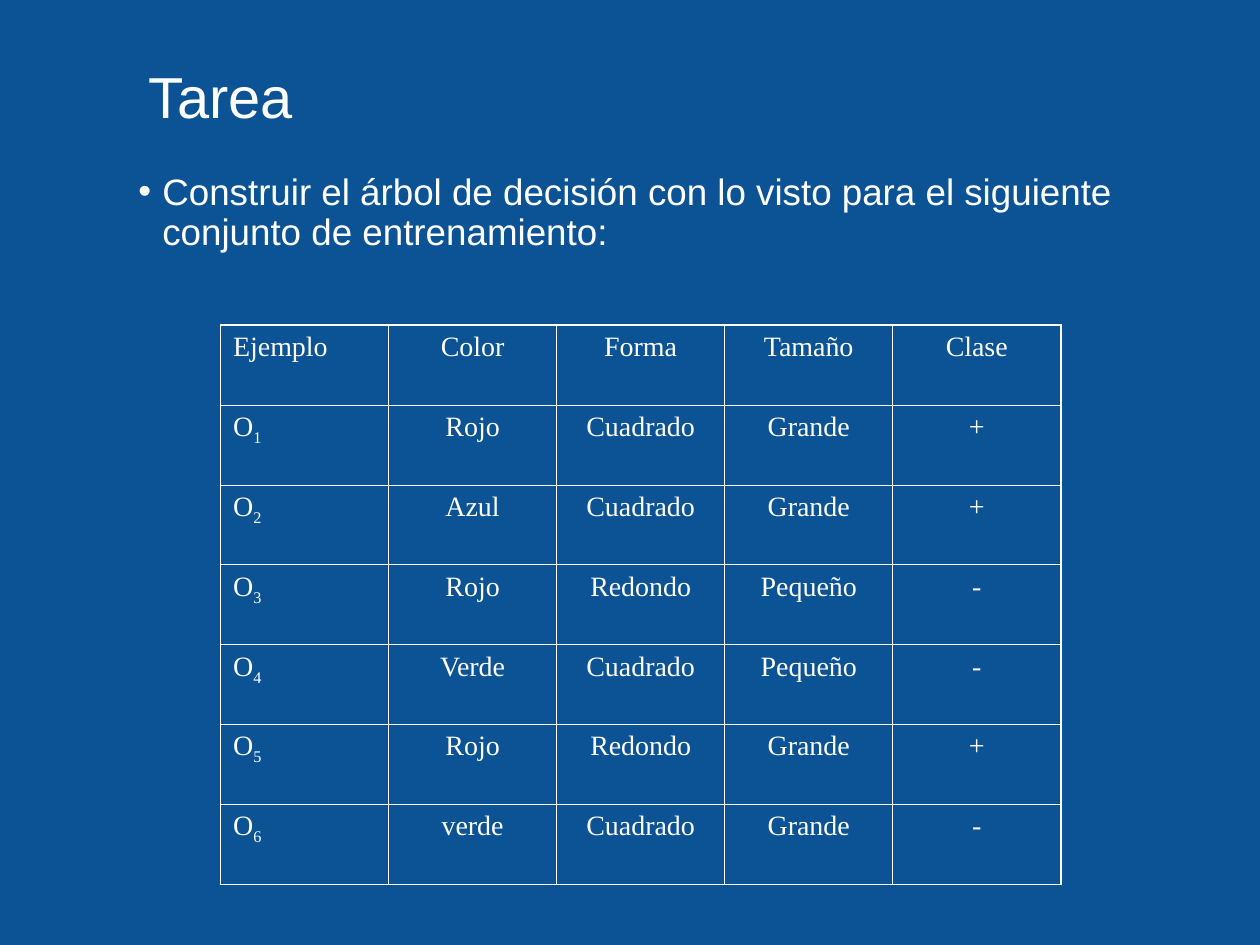
from dataclasses import dataclass

from lxml.etree import SubElement
from pptx import Presentation
from pptx.dml.color import RGBColor as RGB
from pptx.enum.text import MSO_ANCHOR as Anchor, MSO_AUTO_SIZE as AutoSize, PP_ALIGN as Align
from pptx.oxml.ns import qn
from pptx.util import Inches, Pt


@dataclass(frozen=True)
class Theme:
    back: str = "0B5395"
    ink: str = "FFFFFF"
    sans: str = "Arial"
    serif: str = "Times New Roman"
    title_size: int = 33
    body_size: int = 21
    cell_size: int = 16
    leading: float = 0.9
    outer_line: float = 1.08
    inner_line: float = 0.45


class Deck:
    """Builds slides in one theme and keeps the current slide."""

    def __init__(self, theme):
        self.theme = theme
        self.prs = Presentation()
        self.prs.slide_width, self.prs.slide_height = Inches(10), Inches(7.5)

    def add_slide(self):
        self.s = self.prs.slides.add_slide(self.prs.slide_layouts[5])
        fill = self.s.background.fill
        fill.solid()
        fill.fore_color.rgb = RGB.from_string(self.theme.back)

    def run(self, p, text, size, font, base=0):
        r = p.add_run()
        r.text = text
        r.font.size, r.font.name = Pt(size), font
        r.font.color.rgb = RGB.from_string(self.theme.ink)
        if base:
            r.font._element.set("baseline", str(base * 1000))

    def title(self, text, x, y, w, h):
        sp = self.s.shapes.title
        sp.left, sp.top, sp.width, sp.height = map(Inches, (x, y, w, h))
        tf = sp.text_frame
        tf.auto_size, tf.vertical_anchor = AutoSize.NONE, Anchor.MIDDLE
        p = tf.paragraphs[0]
        p.alignment, p.line_spacing = Align.LEFT, self.theme.leading
        self.run(p, text, self.theme.title_size, self.theme.sans)

    def bullet(self, text, x, y, w, h, indent=0.19):
        tf = self.s.shapes.add_textbox(*map(Inches, (x, y, w, h))).text_frame
        tf.word_wrap = True
        p = tf.paragraphs[0]
        p.line_spacing = self.theme.leading
        pPr = p._p.get_or_add_pPr()
        pPr.set("marL", str(Inches(indent)))
        pPr.set("indent", str(-Inches(indent)))
        color = SubElement(pPr, qn("a:buClr"))
        SubElement(color, qn("a:srgbClr"), val=self.theme.ink)
        SubElement(pPr, qn("a:buFont"), typeface=self.theme.sans)
        SubElement(pPr, qn("a:buChar"), char="•")
        self.run(p, text, self.theme.body_size, self.theme.sans)

    def borders(self, cell, outer):
        tcPr = cell._tc.get_or_add_tcPr()
        for side in "LRTB":
            width = self.theme.outer_line if side in outer else self.theme.inner_line
            ln = SubElement(tcPr, qn(f"a:ln{side}"), w=str(Pt(width)))
            fill = SubElement(ln, qn("a:solidFill"))
            SubElement(fill, qn("a:srgbClr"), val=self.theme.ink)

    def table(self, rows, x, y, w, h):
        n_rows, n_cols = len(rows), len(rows[0])
        shape = self.s.shapes.add_table(n_rows, n_cols, *map(Inches, (x, y, w, h)))
        tbl = shape.table
        tbl.first_row = tbl.horz_banding = False
        for i, row in enumerate(rows):
            for j, text in enumerate(row):
                cell = tbl.cell(i, j)
                edges = {"L": j == 0, "R": j == n_cols - 1, "T": i == 0, "B": i == n_rows - 1}
                self.borders(cell, [side for side, outer in edges.items() if outer])
                cell.fill.background()
                p = cell.text_frame.paragraphs[0]
                p.alignment = Align.CENTER if j else Align.LEFT
                name, _, sub = text.partition("_")
                self.run(p, name, self.theme.cell_size, self.theme.serif)
                if sub:
                    self.run(p, sub, self.theme.cell_size, self.theme.serif, base=-25)


EXAMPLES = [
    ("Ejemplo", "Color", "Forma", "Tamaño", "Clase"),
    ("O_1", "Rojo", "Cuadrado", "Grande", "+"),
    ("O_2", "Azul", "Cuadrado", "Grande", "+"),
    ("O_3", "Rojo", "Redondo", "Pequeño", "-"),
    ("O_4", "Verde", "Cuadrado", "Pequeño", "-"),
    ("O_5", "Rojo", "Redondo", "Grande", "+"),
    ("O_6", "verde", "Cuadrado", "Grande", "-"),
]


def main():
    deck = Deck(Theme())
    deck.add_slide()
    deck.title("Tarea", 1.08, 0.17, 8.5, 1.25)
    deck.bullet(
        "Construir el árbol de decisión con lo visto para el siguiente conjunto de entrenamiento:",
        1, 1.33, 8.5, 1.17,
    )
    deck.table(EXAMPLES, 1.75, 2.58, 6.67, 4.44)
    deck.prs.save("out.pptx")


if __name__ == "__main__":
    main()
